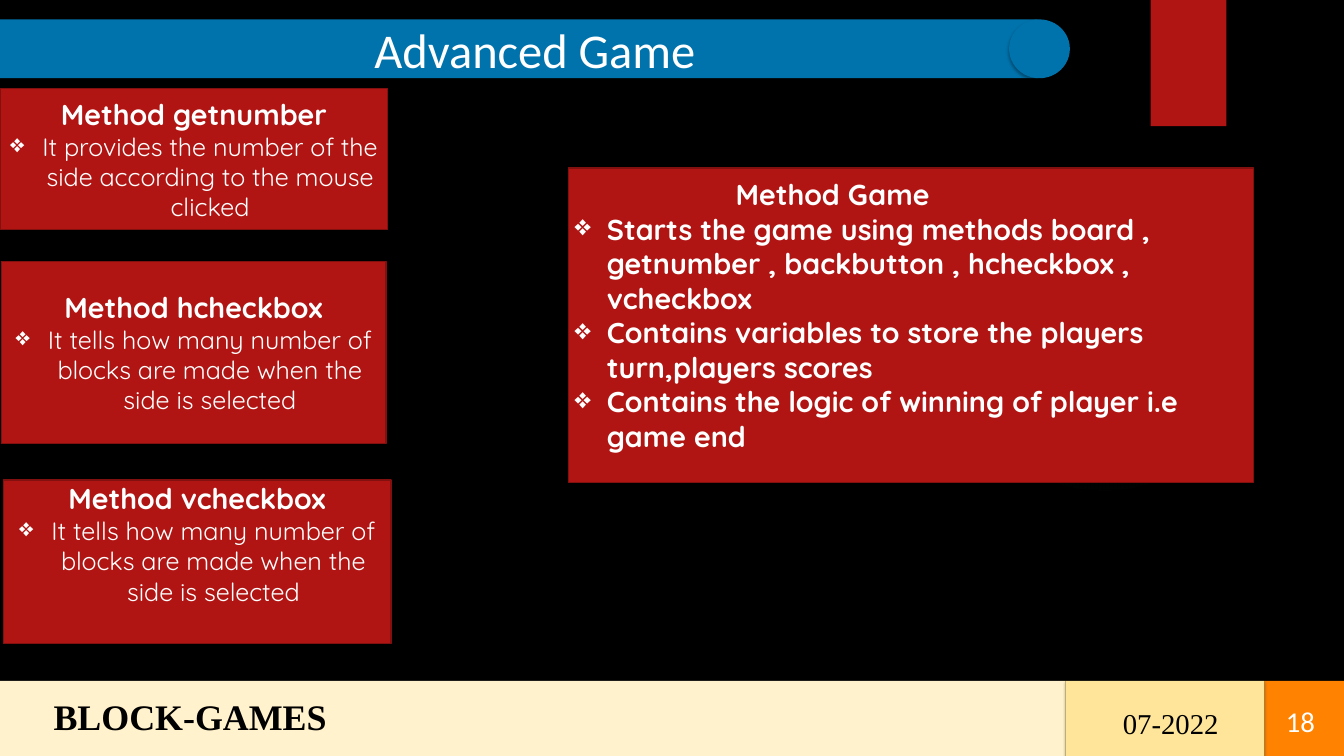
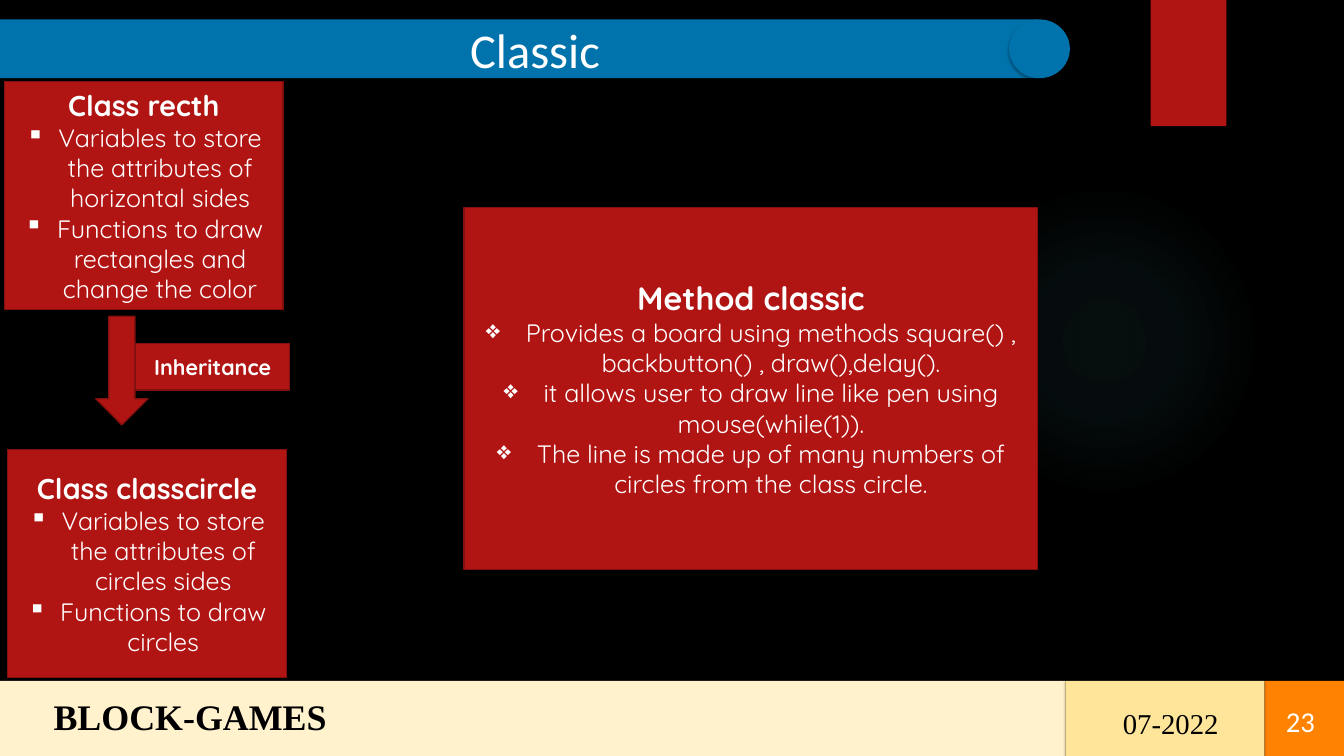
from dataclasses import dataclass

from lxml.etree import SubElement
from pptx import Presentation
from pptx.dml.color import RGBColor
from pptx.enum.shapes import MSO_SHAPE as Shape
from pptx.enum.text import MSO_ANCHOR as Anchor, PP_ALIGN as Align
from pptx.oxml.ns import qn
from pptx.util import Inches, Pt


@dataclass(frozen=True)
class Theme:
    """Colours, fonts and type sizes of the deck."""

    background: str = "000000"
    ink: str = "000000"
    white: str = "FFFFFF"
    red: str = "B01513"
    red_edge: str = "82100E"
    blue: str = "0073AC"
    cream: str = "FFF2CC"
    sand: str = "FEE599"
    orange: str = "FF8200"
    glow: str = "50B9C1"
    plain_font: str = "Calibri"
    card_font: str = "Quicksand"
    footer_font: str = "Times New Roman"
    title_size: int = 54
    brand_size: int = 40
    footer_size: int = 32
    large_heading_size: int = 36
    heading_size: int = 32
    body_size: int = 28
    label_size: int = 24


THEME = Theme()
SOFT_SHADOW = (32, 3.5, 2.2)
RIBBON_SHADOW = (45, 3, 2)
DIAMOND, SQUARE = "❖", "▪"
FOOTER_TOP, FOOTER_HEIGHT = 10.53, 1.16


def add_color(parent, color, alpha):
    """Append a colour with an opacity in percent."""
    node = SubElement(parent, qn("a:srgbClr"), val=color)
    SubElement(node, qn("a:alpha"), val=str(alpha * 1000))


def add_shadow(shape, alpha, blur, distance):
    """Give a shape a shadow that falls straight down."""
    effects = shape._element.spPr.find(qn("a:effectLst"))
    shadow = SubElement(effects, qn("a:outerShdw"), blurRad=str(Pt(blur)),
                        dist=str(Pt(distance)), dir="5400000", rotWithShape="0")
    add_color(shadow, THEME.ink, alpha)


def add_block(page, kind, at, color, edge=None, shadow=None):
    """Add a filled preset shape."""
    shape = page.shapes.add_shape(kind, *map(Inches, at))
    shape.shadow.inherit = False
    shape.fill.solid()
    shape.fill.fore_color.rgb = RGBColor.from_string(color)
    if edge:
        shape.line.color.rgb = RGBColor.from_string(edge)
        shape.line.width = Pt(1.5)
    else:
        shape.line.fill.background()
    if shadow:
        add_shadow(shape, *shadow)
    return shape


def add_glow(page):
    """Add the faint round glow behind the content."""
    shape = add_block(page, Shape.OVAL, (14.68, 2.86, 4.81, 4.81), THEME.glow)
    properties = shape._element.spPr
    gradient = properties.makeelement(qn("a:gradFill"))
    stops = SubElement(gradient, qn("a:gsLst"))
    for position, alpha in ((0, 7), (36, 6), (69, 0)):
        stop = SubElement(stops, qn("a:gs"), pos=str(position * 1000))
        add_color(stop, THEME.glow, alpha)
    circle = SubElement(gradient, qn("a:path"), path="circle")
    SubElement(circle, qn("a:fillToRect"), l="50000", t="50000", r="50000", b="50000")
    properties.replace(properties.find(qn("a:solidFill")), gradient)


def style_para(para, text, font, size, color, bold=False, align=Align.LEFT):
    """Write one paragraph in one font."""
    para.text = text
    para.alignment = align
    para.font.name = font
    para.font.size = Pt(size)
    para.font.bold = bold
    para.font.color.rgb = RGBColor.from_string(color)


def indent_para(para, left, bullet=None):
    """Indent a paragraph, hanging a bullet in the indent if one is given."""
    properties = para._p.get_or_add_pPr()
    properties.set("marL", str(Inches(left)))
    if bullet:
        properties.set("indent", str(-Inches(left)))
        mark = properties.makeelement(qn("a:buChar"), char=bullet)
        properties.insert_element_before(
            mark, "a:tabLst", "a:defRPr", "a:extLst")


def add_text(page, at, text, font, size, color, **style):
    """Add a text box with one line."""
    box = page.shapes.add_textbox(*map(Inches, at))
    box.text_frame.word_wrap = True
    style_para(box.text_frame.paragraphs[0], text, font, size, color, **style)
    return box


def add_card(page, at, heading, points=(), bullet=DIAMOND, hang=0.5,
             heading_size=THEME.heading_size, body_size=THEME.body_size,
             body_bold=False, align=Align.CENTER, heading_indent=0, bottom=0.05):
    """Add a red card with a bold heading and bulleted points."""
    card = add_block(page, Shape.RECTANGLE, at, THEME.red, THEME.red_edge)
    frame = card.text_frame
    frame.word_wrap = True
    frame.vertical_anchor = Anchor.MIDDLE
    frame.margin_bottom = Inches(bottom)
    para = frame.paragraphs[0]
    style_para(para, heading, THEME.card_font, heading_size, THEME.white, True, align)
    indent_para(para, heading_indent)
    for point in points:
        para = frame.add_paragraph()
        style_para(para, point, THEME.card_font, body_size, THEME.white, body_bold, align)
        indent_para(para, hang, bullet)


def add_title(page, title):
    """Add the blue title band with its round end."""
    band = add_block(page, Shape.RECTANGLE, (0, 0.3, 16.05, 0.91), THEME.blue,
                     shadow=SOFT_SHADOW)
    frame = band.text_frame
    frame.margin_left = frame.margin_right = 0
    frame.margin_top = frame.margin_bottom = 0
    para = frame.paragraphs[0]
    style_para(para, title, THEME.plain_font, THEME.title_size, THEME.white,
               align=Align.CENTER)
    indent_para(para, 0.5)
    add_block(page, Shape.OVAL, (15.61, 0.3, 0.94, 0.91), THEME.blue,
              shadow=SOFT_SHADOW)


def add_footer(page, number):
    """Add the footer bands, the name, the date and the page number."""
    bands = ((0, 16.48, THEME.cream), (19.56, 1.23, THEME.orange),
             (16.48, 3.08, THEME.sand))
    for left, width, color in bands:
        add_block(page, Shape.RECTANGLE, (left, FOOTER_TOP, width, FOOTER_HEIGHT),
                  color, shadow=SOFT_SHADOW)
    add_text(page, (0.73, 10.69, 12.33, 0.77), "BLOCK-GAMES", THEME.footer_font,
             THEME.brand_size, THEME.ink, bold=True)
    add_text(page, (17.27, 10.86, 2.12, 0.64), "07-2022", THEME.footer_font,
             THEME.footer_size, THEME.ink)
    box = add_text(page, (19.73, 10.84, 0.71, 0.62), str(number), THEME.plain_font,
                   THEME.footer_size, THEME.white, align=Align.RIGHT)
    box.text_frame.vertical_anchor = Anchor.MIDDLE


def add_page(deck, title, number):
    """Add a slide with everything the slides share."""
    page = deck.slides.add_slide(deck.slide_layouts[6])
    fill = page.background.fill
    fill.solid()
    fill.fore_color.rgb = RGBColor.from_string(THEME.background)
    add_glow(page)
    add_block(page, Shape.RECTANGLE, (17.8, 0, 1.17, 1.95), THEME.red,
              shadow=RIBBON_SHADOW)
    add_footer(page, number)
    add_title(page, title)
    return page


def add_advanced_page(deck):
    """Build the slide on the advanced game."""
    page = add_page(deck, "Advanced Game", 18)
    count_blocks = "It tells how many number of blocks are made when the side is selected"
    add_card(page, (0, 1.37, 6, 2.18), "Method getnumber",
             ["It provides the number of the side according to the mouse clicked"])
    add_card(page, (0.02, 4.04, 5.95, 2.82), "Method hcheckbox", [count_blocks])
    add_card(page, (0.05, 7.42, 6, 2.53), "Method vcheckbox", [count_blocks], bottom=0.61)
    add_card(page, (8.79, 2.6, 10.6, 4.86), "Method Game",
             ["Starts the game using methods board , getnumber , backbutton , "
              "hcheckbox , vcheckbox",
              "Contains variables to store the players turn,players scores",
              "Contains the logic of winning of player i.e game end"],
             body_size=THEME.heading_size, body_bold=True, align=Align.LEFT,
             heading_indent=2.49, bottom=0.36)


def add_classic_page(deck):
    """Build the slide on the classic game."""
    page = add_page(deck, "Classic", 23)
    add_card(page, (0.07, 1.26, 4.31, 3.53), "Class recth",
             ["Variables to store the attributes of horizontal sides",
              "Functions to draw rectangles and change the color"], SQUARE)
    add_card(page, (0.12, 6.95, 4.31, 3.53), "Class classcircle",
             ["Variables to store the attributes of circles sides",
              "Functions to draw circles"], SQUARE)
    add_card(page, (2.1, 5.31, 2.38, 0.72), "Inheritance", heading_size=THEME.label_size)
    add_block(page, Shape.DOWN_ARROW, (1.48, 4.89, 0.81, 1.68), THEME.red, THEME.red_edge)
    add_card(page, (7.18, 3.21, 8.87, 5.6), "Method classic",
             ["Provides a board using methods square() , backbutton() , draw(),delay().",
              "it allows user to draw line like pen using mouse(while(1)).",
              "The line is made up of many numbers of circles from the class circle."],
             hang=0.62, heading_size=THEME.large_heading_size)


def main():
    """Build and save the deck."""
    deck = Presentation()
    deck.slide_width = Inches(20.79)
    deck.slide_height = Inches(11.69)
    add_advanced_page(deck)
    add_classic_page(deck)
    deck.save("out.pptx")


if __name__ == "__main__":
    main()
